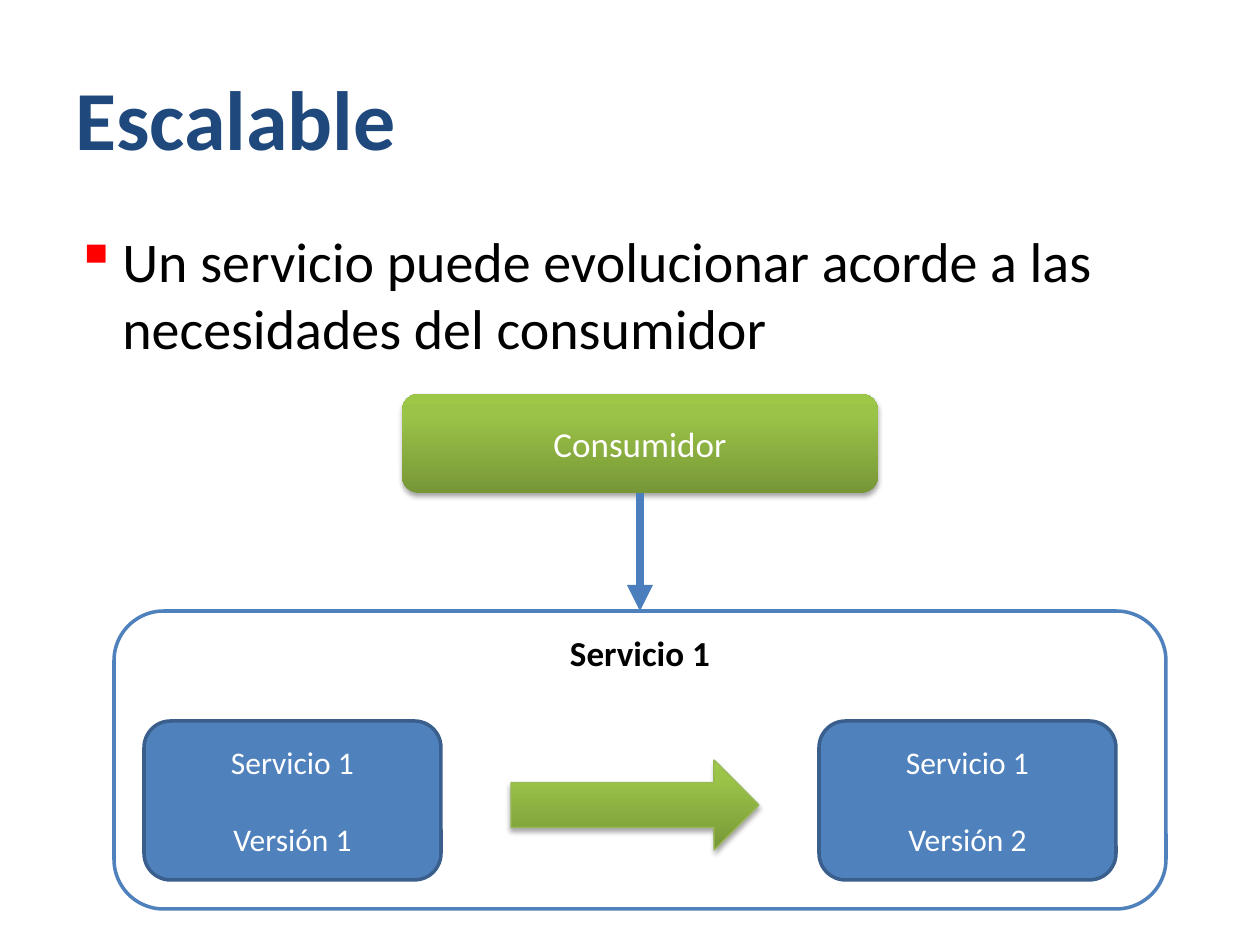
from lxml import etree
from pptx import Presentation
from pptx.dml.color import RGBColor
from pptx.enum.shapes import MSO_CONNECTOR, MSO_SHAPE
from pptx.enum.text import MSO_ANCHOR, PP_ALIGN
from pptx.oxml.ns import qn
from pptx.util import Pt

PX = 914400 / 126
ROUND, ARROW = MSO_SHAPE.ROUNDED_RECTANGLE, MSO_SHAPE.RIGHT_ARROW
LEFT, CENTER = PP_ALIGN.LEFT, PP_ALIGN.CENTER
TOP, MIDDLE = MSO_ANCHOR.TOP, MSO_ANCHOR.MIDDLE
COLORS = {
    "title": "1F497D", "text": "000000", "white": "FFFFFF", "bullet": "FF0000",
    "blue": "4F81BD", "edge": "3A5F8C", "link": "4B7EBC", "rim": "98B955",
}
GREENS = [(0, "779737"), (80, "9BC348"), (100, "9DC746")]


def color(name):
    return RGBColor.from_string(COLORS[name])


def write(shape, lines, size, ink, bold=False, align=CENTER, anchor=MIDDLE, gap=0):
    frame = shape.text_frame
    frame.word_wrap = True
    frame.vertical_anchor = anchor
    frame.text = "\n".join(lines)
    for i, para in enumerate(frame.paragraphs):
        para.alignment = align
        para.space_before = Pt(gap if i else 0)
        font = para.runs[0].font
        font.color.rgb = color(ink)
        for key, value in {"name": "Calibri", "size": Pt(size), "bold": bold}.items():
            setattr(font, key, value)
    return frame


deck = Presentation()
deck.slide_width, deck.slide_height = round(1260 * PX), round(945 * PX)
slide = deck.slides.add_slide(deck.slide_layouts[6])
shapes = slide.shapes

# Heading and bullet
title = shapes.add_textbox(*[round(v * PX) for v in (63, 38, 1134, 158)])
write(title, ["Escalable"], 48, "title", True, LEFT)
body = shapes.add_textbox(*[round(v * PX) for v in (63, 220, 1134, 183)])
point = "Un servicio puede evolucionar acorde a las necesidades del consumidor"
frame = write(body, [point], 32, "text", align=LEFT, anchor=TOP)
props = frame.paragraphs[0]._p.get_or_add_pPr()
props.set("marL", str(round(47 * PX)))
props.set("indent", str(round(-47 * PX)))
tint = etree.SubElement(props, qn("a:buClr"))
etree.SubElement(tint, qn("a:srgbClr"), val=COLORS["bullet"])
etree.SubElement(props, qn("a:buChar"), char="▪")

# Diagram shapes, back to front: kind, place, fill, line, line width
parts = {
    "client": (ROUND, (402, 394, 476, 99), None, None, 0),
    "service": (ROUND, (114, 611, 1052, 298), "white", "blue", 2),
    "old": (ROUND, (144, 721, 297, 159), "blue", "edge", 2),
    "new": (ROUND, (819, 721, 297, 159), "blue", "edge", 2),
    "change": (ARROW, (511, 760, 248, 90), None, "rim", 0.75),
}
made = {}
for name, (kind, place, fill, line, width) in parts.items():
    shape = shapes.add_shape(kind, *[round(v * PX) for v in place])
    shape.shadow.inherit = False
    if line:
        shape.line.color.rgb = color(line)
        shape.line.width = Pt(width)
    else:
        shape.line.fill.background()
    if fill:
        shape.fill.solid()
        shape.fill.fore_color.rgb = color(fill)
    else:  # green gradient with a soft shadow below
        shape.fill.gradient()
        shape.fill.gradient_angle = 90
        spot = shape._element.spPr
        stops = spot.find(".//" + qn("a:gsLst"))
        for stop in list(stops):
            stops.remove(stop)
        for pos, shade in GREENS:
            stop = etree.SubElement(stops, qn("a:gs"), pos=str(pos * 1000))
            etree.SubElement(stop, qn("a:srgbClr"), val=shade)
        cast = etree.SubElement(
            spot.find(qn("a:effectLst")), qn("a:outerShdw"), blurRad=str(Pt(3.1)),
            dist=str(Pt(1.8)), dir="5400000", rotWithShape="0")
        dark = etree.SubElement(cast, qn("a:srgbClr"), val=COLORS["text"])
        etree.SubElement(dark, qn("a:alpha"), val="35000")
    made[name] = shape

write(made["client"], ["Consumidor"], 20, "white")
write(made["service"], ["Servicio 1"], 20, "text", True, anchor=TOP)
for name, label in (("old", "Versión 1"), ("new", "Versión 2")):
    write(made[name], ["Servicio 1", label], 18, "white", gap=22)

# Link from client to service
ends = [round(v * PX) for v in (640, 493, 640, 611)]
link = shapes.add_connector(MSO_CONNECTOR.STRAIGHT, *ends)
link.line.color.rgb = color("link")
link.line.width = Pt(5)
etree.SubElement(link.line._get_or_add_ln(), qn("a:tailEnd"), type="triangle")
etree.SubElement(link._element.spPr, qn("a:effectLst"))

deck.save("out.pptx")
